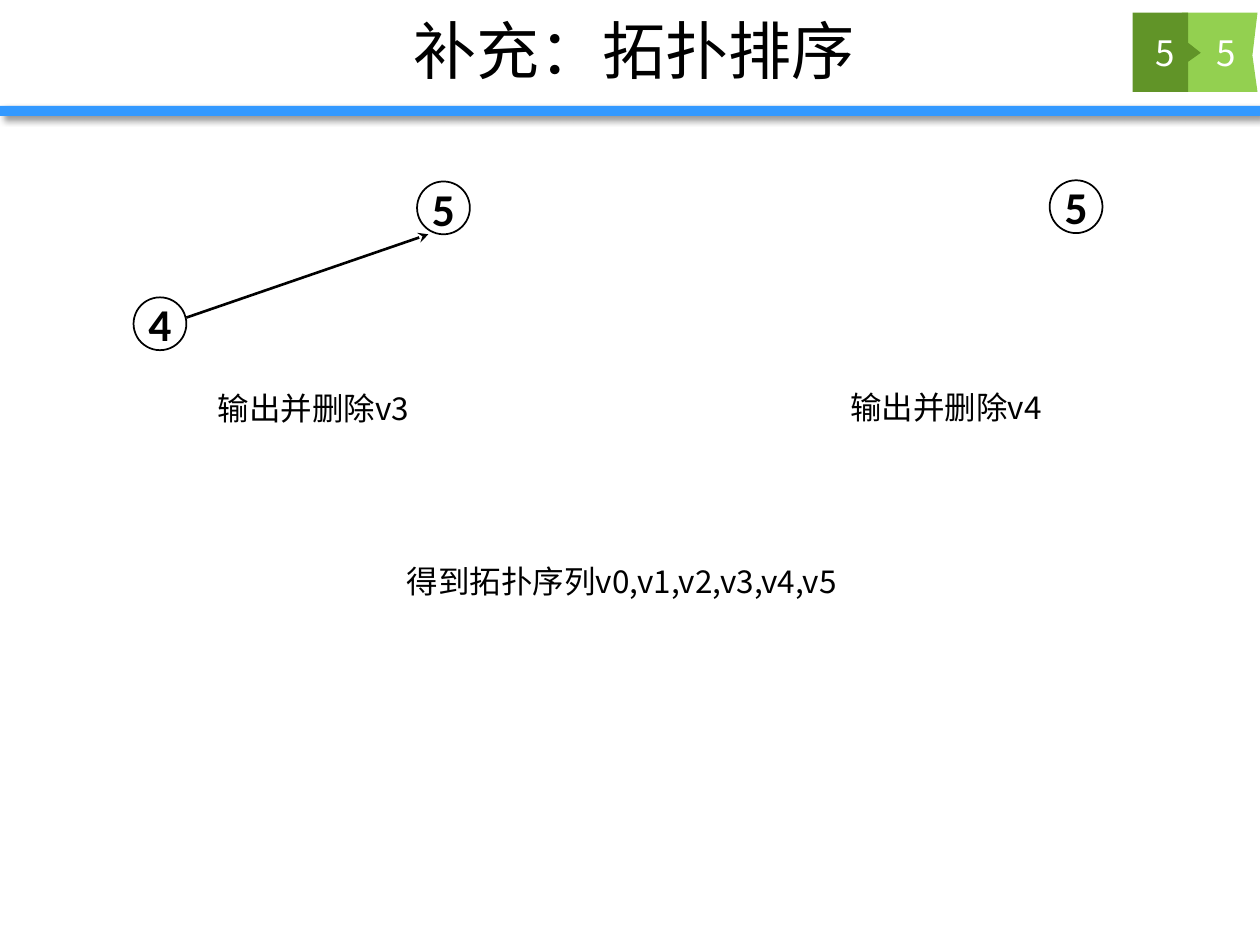
from pptx import Presentation
from pptx.dml.color import RGBColor
from pptx.enum import shapes, text
from pptx.oxml import parse_xml
from pptx.oxml.ns import nsdecls, qn
from pptx.util import Pt

HUES = {
    "ink": "000000",
    "bar": "3399FF",
    "light": "93D050",
    "dark": "619428",
    "white": "FFFFFF",
}
SANS = "Noto Sans CJK SC"
ROUND = 30.2


def hue(name):
    return RGBColor.from_string(HUES[name])


def node(tag, body="", **attrs):
    pairs = " ".join(f'{key}="{val}"' for key, val in attrs.items())
    return parse_xml(f"<a:{tag} {nsdecls('a')} {pairs}>{body}</a:{tag}>")


def write(shape, words, size=18, font=SANS, color="ink", bold=False, center=False,
          middle=False, wrap=True, pads=(7.2, 3.6, 7.2, 3.6)):
    frame = shape.text_frame
    frame.word_wrap = wrap
    frame.vertical_anchor = text.MSO_ANCHOR.MIDDLE if middle else text.MSO_ANCHOR.TOP
    frame.margin_left, frame.margin_top, frame.margin_right, frame.margin_bottom = map(Pt, pads)
    para = frame.paragraphs[0]
    para.alignment = text.PP_ALIGN.CENTER if center else text.PP_ALIGN.LEFT
    run = para.add_run()
    run.text = words
    run.font.size = Pt(size)
    run.font.name = font
    run.font.bold = bold
    run.font.color.rgb = hue(color)
    run.font._element.find(qn("a:latin")).addnext(node("ea", typeface=font))


def label(slide, box, words, **style):
    write(slide.shapes.add_textbox(*map(Pt, box)), words, **style)


def header(slide, box):
    x, y, w, h = box
    bar = slide.shapes.add_shape(shapes.MSO_SHAPE.RECTANGLE, Pt(x), Pt(y + 60.5), Pt(w), Pt(5.8))
    bar.fill.solid()
    bar.fill.fore_color.rgb = hue("bar")
    bar.line.fill.background()
    bar.shadow.inherit = False
    shade = node(
        "outerShdw",
        f'<a:srgbClr val="{HUES["ink"]}"><a:alpha val="40000"/></a:srgbClr>',
        blurRad=Pt(4), dist=Pt(3), dir=45 * 60000, rotWithShape=0,
    )
    bar._element.spPr.find(qn("a:effectLst")).append(shade)
    label(slide, (x + 70.6, y + 0.7, 575.3, 55.4), "补充：拓扑排序", size=36,
          center=True, middle=True, pads=(15.2, 3.6, 7.2, 3.6))


def badge(slide, box):
    x, y, w, h = box
    flag = [(28.1, 0), (w, 0), (w - 2.9, 24.5), (w, h), (28.1, h)]
    arrow = [(0, 0), (31.7, 0), (31.7, 17.3), (38.9, 23), (31.7, 28.1), (31.7, h), (0, h)]
    for dots, color in ((flag, "light"), (arrow, "dark")):
        spots = [(Pt(x + dx), Pt(y + dy)) for dx, dy in dots]
        pen = slide.shapes.build_freeform(*spots[0])
        pen.add_line_segments(spots[1:], close=True)
        part = pen.convert_to_shape()
        part.fill.solid()
        part.fill.fore_color.rgb = hue(color)
        part.line.fill.background()
        part.shadow.inherit = False
    for dx in (30.9, -3.6):
        label(slide, (x + dx, y, 44.6, h), "5", size=20, color="white", center=True, middle=True)


def vertex(slide, x, y, name):
    ring = slide.shapes.add_shape(shapes.MSO_SHAPE.OVAL, Pt(x), Pt(y), Pt(ROUND), Pt(ROUND))
    ring.fill.background()
    ring.line.color.rgb = hue("ink")
    ring.line.width = Pt(1)
    ring.shadow.inherit = False
    write(ring, name, size=26, font="Calibri", bold=True, center=True, middle=True,
          wrap=False, pads=(0, 0, 0, 0))


def edge(slide, *ends):
    link = slide.shapes.add_connector(shapes.MSO_CONNECTOR.STRAIGHT, *map(Pt, ends))
    link.line.color.rgb = hue("ink")
    link.line.width = Pt(1.5)
    link.line._get_or_add_ln().append(node("tailEnd", type="stealth"))
    link._element.spPr.append(node("effectLst"))


def stage(slide, box, gone, full):
    x, y, w, h = box
    vertex(slide, x + w - ROUND, y, "5")
    if full:
        vertex(slide, x, y + 66.2, "4")
        edge(slide, x + ROUND, y + 77.8, x + 168.5, y + ROUND)
    label(slide, (x + 41, y + 115.2, 125.3, 28.8), f"输出并删除{gone}")


def main():
    deck = Presentation()
    deck.slide_width, deck.slide_height = Pt(720), Pt(540)
    slide = deck.slides.add_slide(deck.slide_layouts[6])
    header(slide, (0, 0, 720, 66.3))
    badge(slide, (647.3, 7.2, 71.3, 45.4))
    stage(slide, (76.3, 103.7, 192.2, 144), "v3", True)
    stage(slide, (437.8, 103, 192.2, 144), "v4", False)
    label(slide, (225.4, 317.5, 267.1, 28.8), "得到拓扑序列v0,v1,v2,v3,v4,v5", wrap=False)
    deck.save("out.pptx")


if __name__ == "__main__":
    main()
